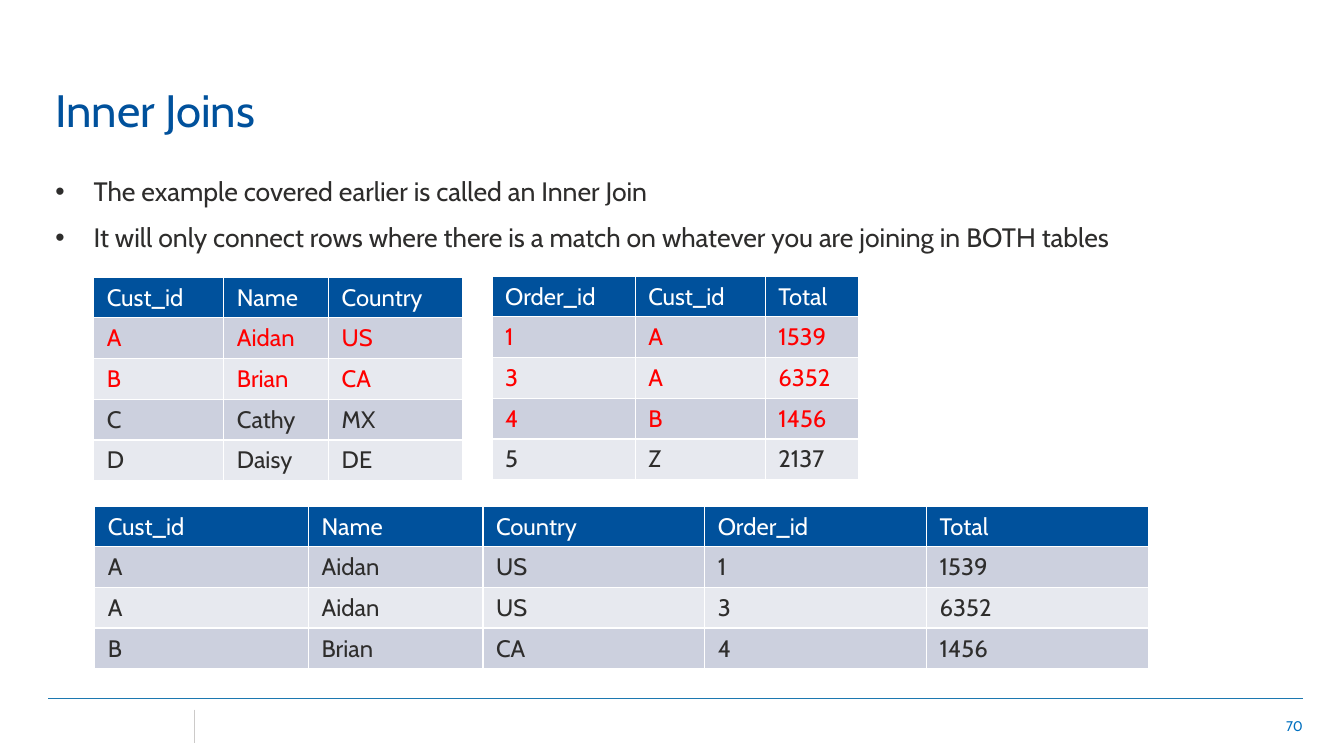
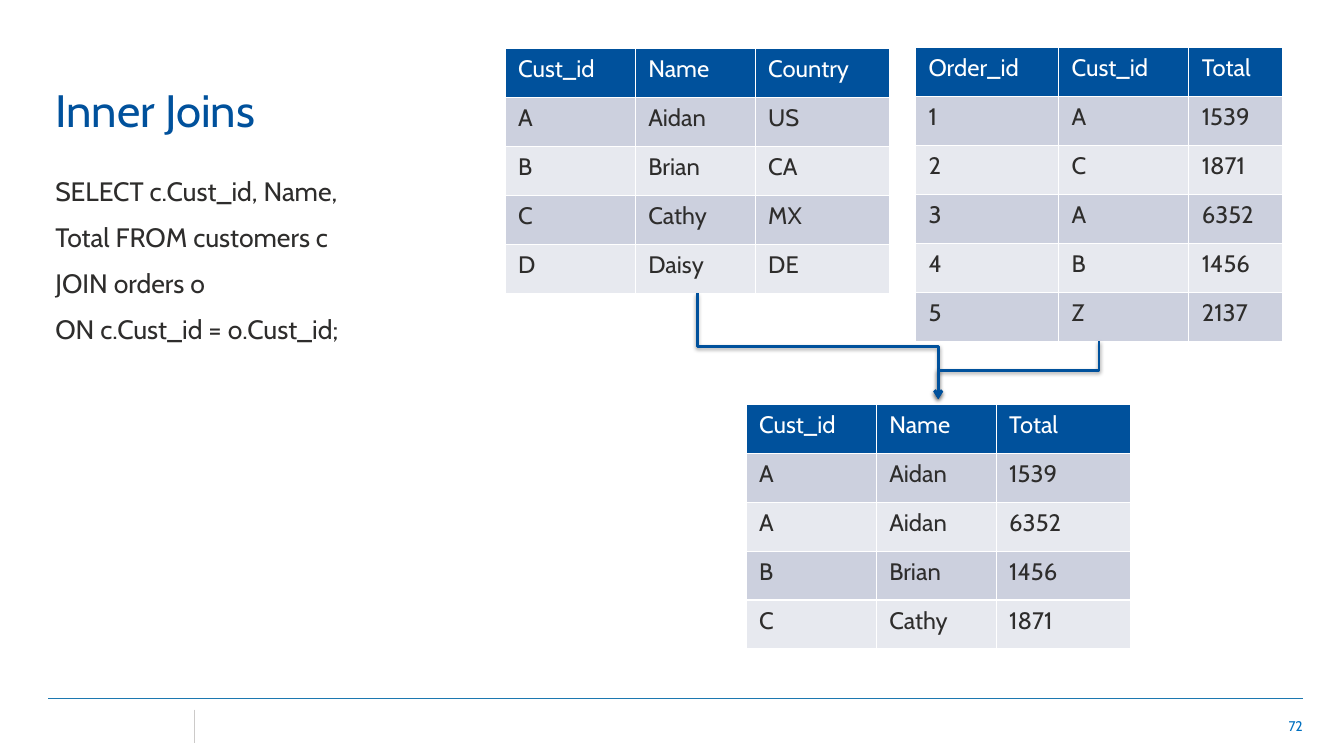
from dataclasses import dataclass

from lxml import etree
from pptx import Presentation, util as u
from pptx.dml.color import RGBColor
from pptx.enum import shapes, text
from pptx.oxml.ns import qn


@dataclass(frozen=True)
class Theme:
    """Colours, font and type sizes of the deck."""
    font: str = "Cabin"
    blue: str = "00519C"
    ink: str = "2E2D2C"
    white: str = "FFFFFF"
    match: str = "FF0000"
    bands: tuple = ("CCD0DE", "E7E9EF")
    page: str = "0070C0"
    rule: str = "1C78B0"
    tick: str = "CCCAC9"
    title_size: float = 32.4
    body_size: float = 19
    cell_size: float = 17
    page_size: float = 10


T = Theme()
CUSTOMERS = [("Cust_id", "Name", "Country"), ("A", "Aidan", "US"), ("B", "Brian", "CA"),
             ("C", "Cathy", "MX"), ("D", "Daisy", "DE")]
ORDERS = [("Order_id", "Cust_id", "Total"), ("1", "A", "1539"), ("2", "C", "1871"),
          ("3", "A", "6352"), ("4", "B", "1456"), ("5", "Z", "2137")]
ORDER_COLS = (1.42, 1.29, 0.93)
CUSTOMER_COLS = (1.29, 1.19, 1.33)


def apply(target, values):
    """Set each named attribute on the target."""
    for name, value in values.items():
        setattr(target, name, value)


def inches(*values):
    """Turn numbers into lengths."""
    return [u.Inches(v) for v in values]


def write(p, words, size, color):
    """Put one styled run into a paragraph."""
    r = p.add_run()
    r.text = words
    apply(r.font, {"name": T.font, "size": u.Pt(size), "bold": False})
    r.font.color.rgb = RGBColor.from_string(color)


def text_box(s, box, lines, size, color, frame=None, para=None, bullet=False):
    """Place a wrapped text box with one paragraph per line."""
    tf = s.shapes.add_textbox(*inches(*box)).text_frame
    apply(tf, {"word_wrap": True, **(frame or {})})
    for i, line in enumerate(lines):
        p = tf.add_paragraph() if i else tf.paragraphs[0]
        apply(p, para or {})
        write(p, line, size, color)
        if bullet:
            pr = p._p.get_or_add_pPr()
            pr.set("marL", str(u.Inches(0.38)))
            pr.set("indent", str(-u.Inches(0.38)))
            etree.SubElement(pr, qn("a:buFont")).set("typeface", "Arial")
            etree.SubElement(pr, qn("a:buChar")).set("char", "•")


def body(s, box, lines, bullet=False):
    """Place the body text."""
    spacing = {"space_before": u.Pt(2), "space_after": u.Pt(8)}
    text_box(s, box, lines, T.body_size, T.ink, para=spacing, bullet=bullet)


def line(s, kind, ends, color, width):
    """Draw a connector without effects and return it."""
    c = s.shapes.add_connector(kind, *ends)
    c.line.color.rgb = RGBColor.from_string(color)
    c.line.width = u.Pt(width)
    etree.SubElement(c._element.spPr, qn("a:effectLst"))
    return c


def base_slide(prs, title, number):
    """Add a slide with title, footer rules and page number."""
    s = prs.slides.add_slide(prs.slide_layouts[6])
    text_box(s, (9.91, 7, 3.11, 0.4), [number], T.page_size, T.page,
             {"vertical_anchor": text.MSO_ANCHOR.MIDDLE}, {"alignment": text.PP_ALIGN.RIGHT})
    for ends, color in (((0.48, 6.93, 12.92, 6.93), T.rule), ((1.93, 7.04, 1.93, 7.37), T.tick)):
        line(s, shapes.MSO_CONNECTOR.STRAIGHT, inches(*ends), color, 0.25)
    text_box(s, (0.45, 0.71, 9.98, 0.69), [title], T.title_size, T.blue,
             {"vertical_anchor": text.MSO_ANCHOR.BOTTOM})
    return s


def data_table(s, left, top, cols, row_height, rows, matched=0):
    """Place a banded table; the first matched data rows are highlighted."""
    box = inches(left, top, sum(cols), row_height * len(rows))
    frame = s.shapes.add_table(len(rows), len(cols), *box)
    table = frame.table
    for column, width in zip(table.columns, cols):
        column.width = u.Inches(width)
    side, edge = inches(0.13, 0.06)
    margins = {"margin_left": side, "margin_right": side, "margin_top": edge, "margin_bottom": edge}
    for i, row in enumerate(rows):
        fill = T.bands[(i - 1) % 2] if i else T.blue
        color = T.white if i == 0 else T.match if i <= matched else T.ink
        for j, words in enumerate(row):
            cell = table.cell(i, j)
            apply(cell, margins)
            cell.fill.solid()
            cell.fill.fore_color.rgb = RGBColor.from_string(fill)
            write(cell.text_frame.paragraphs[0], words, T.cell_size, color)
    return frame


def elbow_arrow(s, source, target):
    """Lead from the bottom of one table down to the top of another."""
    x1, y1 = source.left + source.width // 2, source.top + source.height
    x2, y2 = target.left + target.width // 2, target.top - u.Inches(0.05)
    mid_x, mid_y = (x1 + x2) // 2, (y1 + y2) // 2
    rightward = x2 > x1
    half_w = (y2 - y1) // 2 * (-1 if rightward else 1)
    half_h = abs(x2 - x1) // 2
    ends = (mid_x - half_w, mid_y - half_h, mid_x + half_w, mid_y + half_h)
    c = line(s, shapes.MSO_CONNECTOR.ELBOW, ends, T.blue, 2)
    pr = c._element.spPr
    pr.find(qn("a:xfrm")).set("rot", str((270 if rightward else 90) * 60000))
    etree.SubElement(pr.find(qn("a:ln")), qn("a:tailEnd")).set("type", "arrow")
    shadow = etree.SubElement(pr.find(qn("a:effectLst")), qn("a:outerShdw"),
                              blurRad=str(u.Pt(3.1)), dist=str(u.Pt(1.6)),
                              dir="5400000", rotWithShape="0")
    black = etree.SubElement(shadow, qn("a:srgbClr"), val="000000")
    etree.SubElement(black, qn("a:alpha"), val="38000")


def matching_slide(prs):
    """Show the matching rows and the joined result."""
    s = base_slide(prs, "Inner Joins", "70")
    body(s, (0.45, 1.69, 12.47, 4.97), [
        "The example covered earlier is called an Inner Join",
        "It will only connect rows where there is a match on whatever you are joining in BOTH tables",
    ], bullet=True)
    orders = [row for row in ORDERS if row[0] != "2"]
    joined = [("Cust_id", "Name", "Country", "Order_id", "Total"), ("A", "Aidan", "US", "1", "1539"),
              ("A", "Aidan", "US", "3", "6352"), ("B", "Brian", "CA", "4", "1456")]
    data_table(s, 0.93, 2.75, (1.29, 1.04, 1.33), 0.4, CUSTOMERS, matched=2)
    data_table(s, 4.88, 2.74, ORDER_COLS, 0.4, orders, matched=3)
    data_table(s, 0.94, 5.02, (2.12, 1.73, 2.2, 2.2, 2.2), 0.4, joined)


def query_slide(prs):
    """Show the query, its two source tables and the result."""
    s = base_slide(prs, "Inner Joins", "72")
    result = [("Cust_id", "Name", "Total"), ("A", "Aidan", "1539"), ("A", "Aidan", "6352"),
              ("B", "Brian", "1456"), ("C", "Cathy", "1871")]
    row_height = 0.486
    customers = data_table(s, 5.01, 0.48, CUSTOMER_COLS, row_height, CUSTOMERS)
    orders = data_table(s, 9.08, 0.47, ORDER_COLS, row_height, ORDERS)
    joined = data_table(s, 7.4, 4.01, CUSTOMER_COLS, row_height, result)
    for source in (customers, orders):
        elbow_arrow(s, source, joined)
    body(s, (0.45, 1.69, 3.84, 3.58), [
        "SELECT c.Cust_id, Name,", "Total FROM customers c", "JOIN orders o",
        "ON c.Cust_id = o.Cust_id;",
    ])


prs = Presentation()
apply(prs, {"slide_width": u.Inches(13.33), "slide_height": u.Inches(7.5)})
matching_slide(prs)
query_slide(prs)
prs.save("out.pptx")
